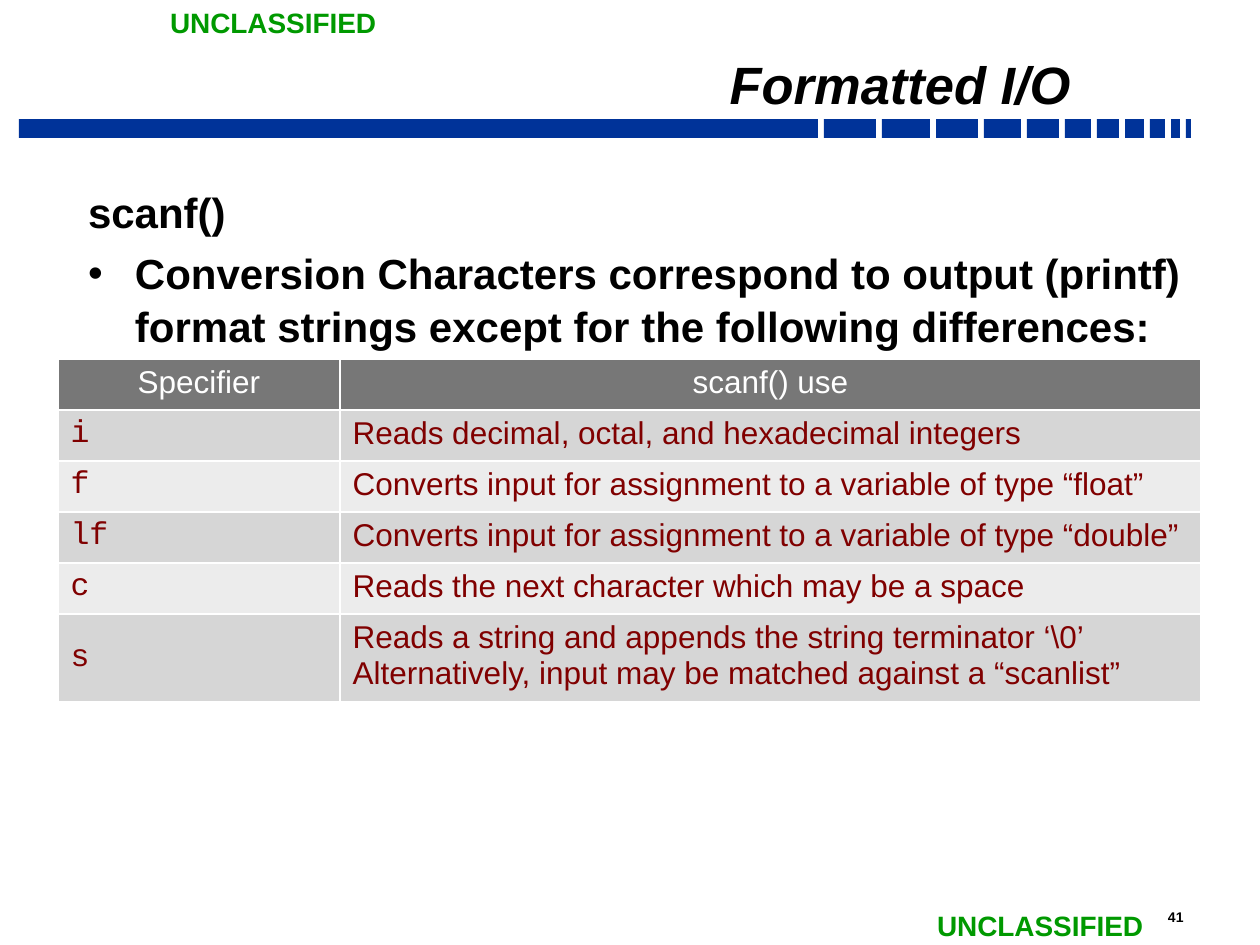
from lxml.etree import SubElement
from pptx import Presentation
from pptx.dml.color import RGBColor
from pptx.enum.shapes import MSO_SHAPE as Shape
from pptx.enum.text import MSO_ANCHOR as Anchor, PP_ALIGN as Align
from pptx.oxml.ns import qn
from pptx.util import Emu, Pt

EMU_PER_PX = 914400 / 126
COLORS = {
    "bar": "003399", "marking": "009900", "black": "000000", "white": "FFFFFF",
    "header": "777777", "odd": "D6D6D6", "even": "ECECEC", "cell_text": "800000",
}
BAR_LEFTS = [19, 824, 882, 936, 984, 1027, 1065, 1097, 1125, 1150, 1171, 1186]
BAR_GAP = 6
COLUMN_WIDTHS = [282, 861]
ROW_HEIGHTS = [51, 51, 51, 51, 51, 83]
HEADERS = ["Specifier", "scanf() use"]
SPECIFIERS = [
    ("i", ["Reads decimal, octal, and hexadecimal integers"]),
    ("f", ["Converts input for assignment to a variable of type “float”"]),
    ("lf", ["Converts input for assignment to a variable of type “double”"]),
    ("c", ["Reads the next character which may be a space"]),
    ("s", ["Reads a string and appends the string terminator ‘\\0’",
           "Alternatively, input may be matched against a “scanlist”"]),
]


def px(value):
    return Emu(round(value * EMU_PER_PX))


def rgb(name):
    return RGBColor.from_string(COLORS[name])


def add_text(paragraph, text, size, color="black", name="Arial", bold=False, italic=False):
    run = paragraph.add_run()
    run.text = text
    font = run.font
    font.name, font.size, font.bold, font.italic = name, Pt(size), bold, italic
    font.color.rgb = rgb(color)


def add_frame(slide, box, inset=(13, 6), wrap=True):
    frame = slide.shapes.add_textbox(*map(px, box)).text_frame
    frame.word_wrap = wrap
    frame.margin_left = frame.margin_right = px(inset[0])
    frame.margin_top = frame.margin_bottom = px(inset[1])
    return frame


def add_bar(slide, box):
    """Draw a strip of blocks that shorten towards the right."""
    left, top, width, height = box
    ends = BAR_LEFTS[1:] + [left + width + BAR_GAP]
    for start, end in zip(BAR_LEFTS, ends):
        block = slide.shapes.add_shape(
            Shape.RECTANGLE, px(start), px(top), px(end - start - BAR_GAP), px(height))
        block.shadow.inherit = False
        block.fill.solid()
        block.fill.fore_color.rgb = rgb("bar")
        block.line.fill.background()


def add_marking(slide, box):
    frame = add_frame(slide, box, wrap=False)
    add_text(frame.paragraphs[0], "UNCLASSIFIED", 16, "marking", bold=True)


def add_page_number(slide, box):
    add_text(add_frame(slide, box).paragraphs[0], "41", 8, bold=True)


def add_title(slide, box):
    frame = add_frame(slide, box, inset=(11, 5))
    frame.vertical_anchor = Anchor.BOTTOM
    paragraph = frame.paragraphs[0]
    paragraph.alignment = Align.RIGHT
    paragraph.line_spacing = 0.7
    add_text(paragraph, "Formatted I/O", 30, bold=True, italic=True)


def add_bullet(paragraph, indent):
    properties = paragraph._p.get_or_add_pPr()
    properties.set("marL", str(px(indent)))
    properties.set("indent", str(-px(indent)))
    SubElement(properties, qn("a:buFont"), typeface="Arial")
    SubElement(properties, qn("a:buChar"), char="•")


def add_body(slide, box):
    frame = add_frame(slide, box, inset=(11, 5))
    heading = frame.paragraphs[0]
    heading.line_spacing = 1.05
    add_text(heading, "scanf()", 24, bold=True)
    point = frame.add_paragraph()
    add_bullet(point, 47)
    point.line_spacing = 1.05
    point.space_before = Pt(4.8)
    add_text(point, "Conversion Characters correspond to output (printf) "
                    "format strings except for the following differences:", 24, bold=True)


def add_borders(cell):
    properties = cell._tc.get_or_add_tcPr()
    for position, side in enumerate(("lnL", "lnR", "lnT", "lnB")):
        line = SubElement(properties, qn(f"a:{side}"), w=str(Pt(1)))
        fill = SubElement(line, qn("a:solidFill"))
        SubElement(fill, qn("a:srgbClr"), val=COLORS["white"])
        properties.insert(position, line)


def fill_cell(cell, lines, fill, color, name="Arial", alignment=Align.LEFT):
    cell.fill.solid()
    cell.fill.fore_color.rgb = rgb(fill)
    add_borders(cell)
    frame = cell.text_frame
    for index, line in enumerate(lines):
        paragraph = frame.add_paragraph() if index else frame.paragraphs[0]
        paragraph.alignment = alignment
        add_text(paragraph, line, 18, color, name)


def add_specifier_table(slide, box):
    table = slide.shapes.add_table(
        len(ROW_HEIGHTS), len(COLUMN_WIDTHS), *map(px, box)).table
    for column, width in zip(table.columns, COLUMN_WIDTHS):
        column.width = px(width)
    for row, height in zip(table.rows, ROW_HEIGHTS):
        row.height = px(height)
    for column, header in enumerate(HEADERS):
        fill_cell(table.cell(0, column), [header], "header", "white", alignment=Align.CENTER)
    for row, (specifier, uses) in enumerate(SPECIFIERS, start=1):
        fill = "odd" if row % 2 else "even"
        fill_cell(table.cell(row, 0), [specifier], fill, "cell_text", "Courier New")
        fill_cell(table.cell(row, 1), uses, fill, "cell_text")
    table.cell(len(SPECIFIERS), 0).vertical_anchor = Anchor.MIDDLE


def main():
    presentation = Presentation()
    presentation.slide_width, presentation.slide_height = px(1260), px(945)
    slide = presentation.slides.add_slide(presentation.slide_layouts[6])
    add_bar(slide, (19, 119, 1172, 19))
    add_page_number(slide, (1155, 903, 68, 29))
    add_marking(slide, (157, 0, 234, 47))
    add_marking(slide, (924, 903, 234, 47))
    add_body(slide, (77, 179, 1143, 651))
    add_title(slide, (210, 44, 872, 74))
    add_specifier_table(slide, (58, 359, sum(COLUMN_WIDTHS), sum(ROW_HEIGHTS)))
    presentation.save("out.pptx")


if __name__ == "__main__":
    main()
